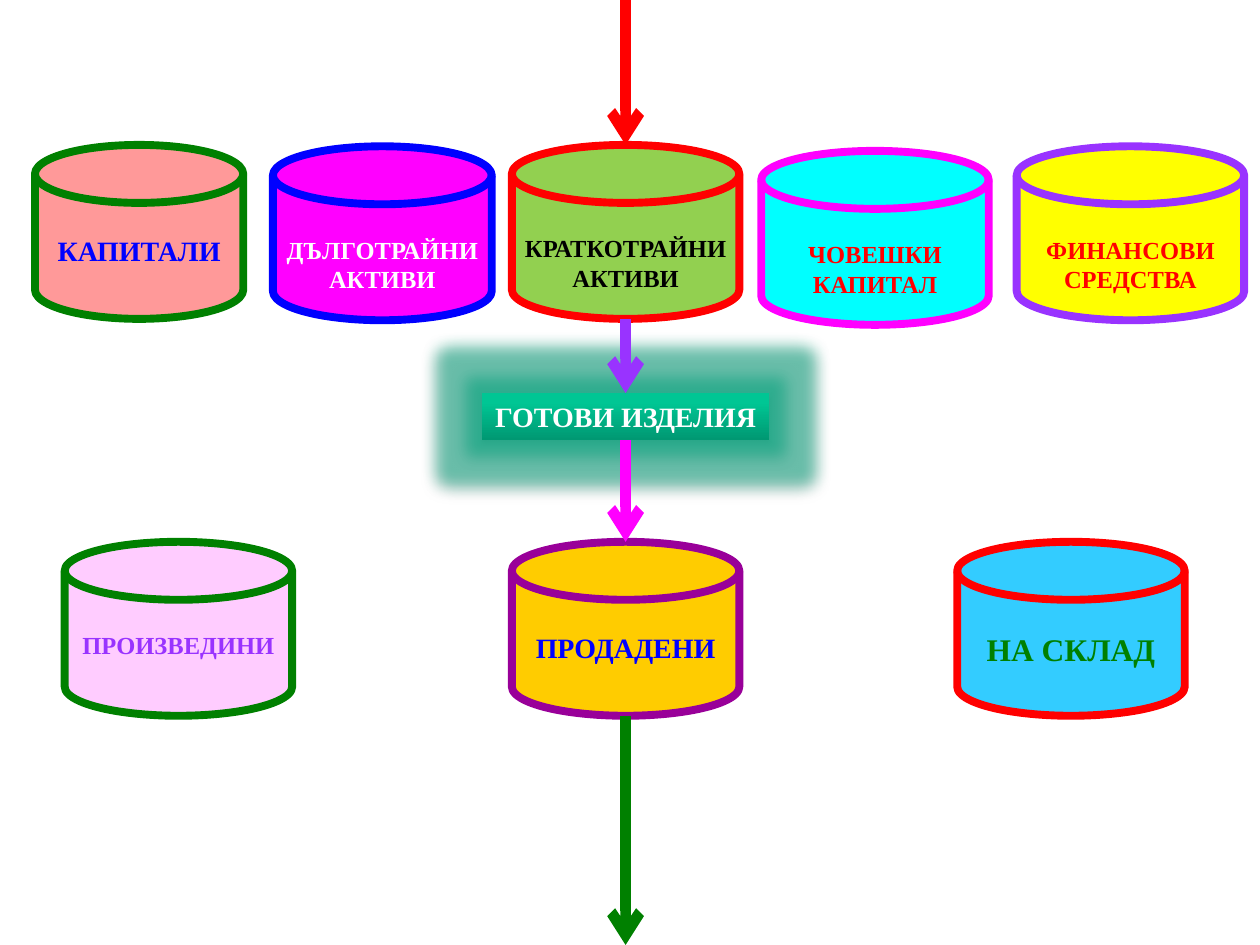
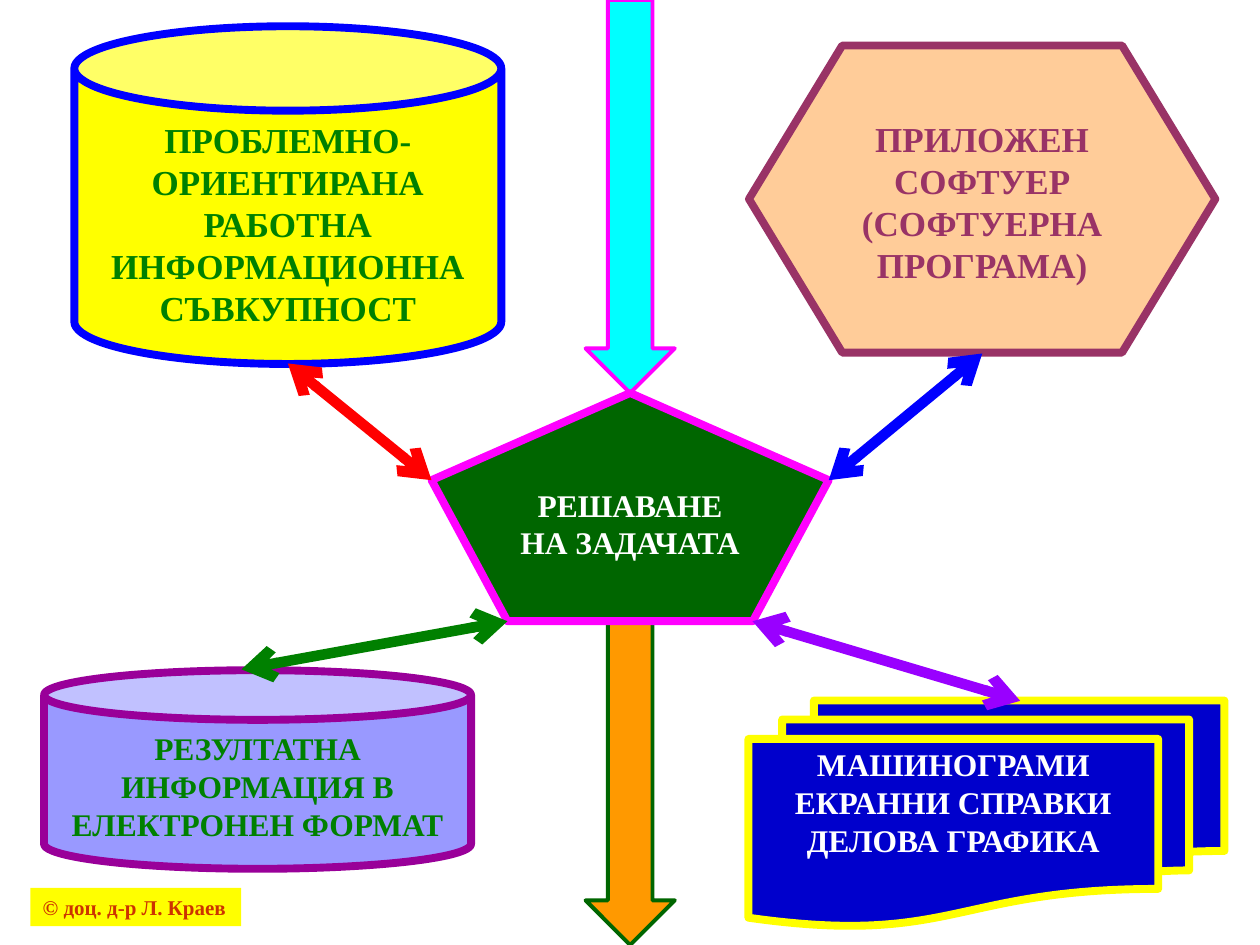
from pptx import Presentation
from pptx.dml.color import RGBColor
from pptx.enum.shapes import MSO_CONNECTOR, MSO_SHAPE
from pptx.enum.text import MSO_ANCHOR, PP_ALIGN
from pptx.oxml import parse_xml
from pptx.oxml.ns import nsdecls
from pptx.util import Pt

FONT = "Times New Roman"
COLOURS = {
    "red": "FF0000", "green": "008000", "blue": "0000FF", "magenta": "FF00FF",
    "cyan": "00FFFF", "yellow": "FFFF00", "white": "FFFFFF", "black": "000000",
    "violet": "9933FF", "purple": "990099", "salmon": "FF9999", "lime": "92D050",
    "pink": "FFCCFF", "gold": "FFCC00", "sky": "33CCFF", "peach": "FFCC99",
    "plum": "993366", "forest": "006600", "navy": "0000CC", "lavender": "9999FF",
    "orange": "FF9900", "bright violet": "9900FF", "brick": "CC3300",
    "teal dark": "009872", "teal light": "00C694", "teal glow": "00A880",
}
DISK_HEIGHT = 99.4
AXIS = 357.5
HEAVY_LINE = 4.5


def colour(name):
    return RGBColor.from_string(COLOURS[name])


def add_figure(slide, kind, box, fill, line=None, line_width=HEAVY_LINE):
    shape = slide.shapes.add_shape(kind, *(Pt(length) for length in box))
    shape.shadow.inherit = False
    shape.fill.solid()
    shape.fill.fore_color.rgb = colour(fill)
    if line:
        shape.line.color.rgb = colour(line)
        shape.line.width = Pt(line_width)
    else:
        shape.line.fill.background()
    return shape


def write(shape, text, size, font_colour, top=3.6, side=7.2,
          anchor=MSO_ANCHOR.TOP, align=PP_ALIGN.CENTER, wrap=True):
    frame = shape.text_frame
    frame.word_wrap = wrap
    frame.vertical_anchor = anchor
    frame.margin_left = frame.margin_right = Pt(side)
    frame.margin_top, frame.margin_bottom = Pt(top), Pt(3.6)
    frame.text = text
    for paragraph in frame.paragraphs:
        paragraph.alignment = align
        for run in paragraph.runs:
            run.font.name = FONT
            run.font.size = Pt(size)
            run.font.bold = True
            run.font.color.rgb = colour(font_colour)


def add_arrow(slide, start, end, line, both_ends=False):
    connector = slide.shapes.add_connector(
        MSO_CONNECTOR.STRAIGHT, *(Pt(length) for length in (*start, *end)))
    connector.line.color.rgb = colour(line)
    connector.line.width = Pt(6)
    outline = connector.line._get_or_add_ln()
    for tag in ("headEnd", "tailEnd") if both_ends else ("tailEnd",):
        outline.append(parse_xml(f'<a:{tag} {nsdecls("a")} type="arrow"/>'))
    connector._element.spPr.append(parse_xml(f'<a:effectLst {nsdecls("a")}/>'))


def add_disk_row(slide, top, disks):
    for left, drop, width, text, size, font_colour, fill, line in disks:
        box = (left, top + drop, width, DISK_HEIGHT)
        disk = add_figure(slide, MSO_SHAPE.FLOWCHART_MAGNETIC_DISK, box, fill, line)
        write(disk, text, size, font_colour, top=17.3, side=4)


def add_product_label(slide, box):
    label = add_figure(slide, MSO_SHAPE.RECTANGLE, box, "teal light")
    label.fill.gradient()
    label.fill.gradient_angle = 90
    for stop, name, position in zip(label.fill.gradient_stops,
                                    ("teal dark", "teal light"), (0, 0.8)):
        stop.color.rgb = colour(name)
        stop.position = position
    effects = label._element.spPr.find(
        "{http://schemas.openxmlformats.org/drawingml/2006/main}effectLst")
    effects.append(parse_xml(
        f'<a:glow {nsdecls("a")} rad="{Pt(18)}"><a:srgbClr val="{COLOURS["teal glow"]}">'
        '<a:alpha val="50000"/></a:srgbClr></a:glow>'))
    effects.append(parse_xml(
        f'<a:outerShdw {nsdecls("a")} blurRad="{Pt(3.1)}" dist="{Pt(1.8)}" dir="5400000">'
        f'<a:srgbClr val="{COLOURS["black"]}"><a:alpha val="35000"/></a:srgbClr></a:outerShdw>'))
    write(label, "ГОТОВИ ИЗДЕЛИЯ", 16, "white", side=4, anchor=MSO_ANCHOR.MIDDLE)


def build_production_slide(slide):
    resources_top, label_top, label_height, results_top = 82.8, 224.6, 26.8, 309.6
    add_arrow(slide, (AXIS, 0), (AXIS, resources_top), "red")
    add_disk_row(slide, resources_top, [
        (20, 0, 119, "КАПИТАЛИ", 16, "blue", "salmon", "green"),
        (156, 0.8, 125, "ДЪЛГОТРАЙНИ АКТИВИ", 14, "white", "magenta", "blue"),
        (292.5, 0, 130, "КРАТКОТРАЙНИ АКТИВИ", 14, "black", "lime", "red"),
        (435, 3.4, 130, "ЧОВЕШКИ КАПИТАЛ", 14, "red", "cyan", "magenta"),
        (581, 0.8, 130, "ФИНАНСОВИ СРЕДСТВА", 14, "red", "yellow", "violet"),
    ])
    add_product_label(slide, (AXIS - 82, label_top, 164, label_height))
    add_disk_row(slide, results_top, [
        (37, 0, 130, "ПРОИЗВЕДИНИ", 14, "violet", "pink", "green"),
        (292.5, 0, 130, "ПРОДАДЕНИ", 16, "blue", "gold", "purple"),
        (547, 0, 130, "НА СКЛАД", 18, "green", "sky", "red"),
    ])
    for start, end, line in (
        (resources_top + DISK_HEIGHT, label_top, "violet"),
        (label_top + label_height, results_top, "magenta"),
        (results_top + DISK_HEIGHT, 540, "green"),
    ):
        add_arrow(slide, (AXIS, start), (AXIS, end), line)


def add_inputs(slide, left, top):
    data = add_figure(slide, MSO_SHAPE.CAN, (left, top, 244, 193), "yellow", "blue")
    write(data, "ПРОБЛЕМНО-\vОРИЕНТИРАНА\nРАБОТНА ИНФОРМАЦИОННА СЪВКУПНОСТ",
          20, "green", top=4.5)
    software = add_figure(slide, MSO_SHAPE.FLOWCHART_PREPARATION,
                          (left + 385.5, top + 11, 266.5, 175.5), "peach", "plum")
    write(software, "ПРИЛОЖЕН\nСОФТУЕР\n(СОФТУЕРНА\nПРОГРАМА)", 20, "plum",
          top=6, side=0, anchor=MSO_ANCHOR.MIDDLE)


def add_solution(slide, left, top, width, height):
    for arrow_top, bottom, fill, line in ((0, top, "cyan", "magenta"),
                                          (top + height, 540, "orange", "forest")):
        box = (left + width / 2 - 25.5, arrow_top, 51, bottom - arrow_top)
        add_figure(slide, MSO_SHAPE.DOWN_ARROW, box, fill, line, 2.25)
    pentagon = add_figure(slide, MSO_SHAPE.REGULAR_PENTAGON,
                          (left, top, width, height), "forest", "magenta")
    write(pentagon, "РЕШАВАНЕ\vНА ЗАДАЧАТА", 18, "white", top=22.2, side=0)


def add_outputs(slide, left, top):
    results = add_figure(slide, MSO_SHAPE.CAN, (left, top, 244, 113.5), "lavender", "purple")
    write(results, "РЕЗУЛТАТНА ИНФОРМАЦИЯ В ЕЛЕКТРОНЕН ФОРМАТ", 18, "green", top=5.5)
    reports = add_figure(slide, MSO_SHAPE.FLOWCHART_MULTIDOCUMENT,
                         (left + 402.5, top + 17.3, 272, 129), "navy", "yellow")
    write(reports, "МАШИНОГРАМИ\nЕКРАННИ СПРАВКИ\nДЕЛОВА ГРАФИКА", 18, "white")


def add_copyright(slide, box):
    label = add_figure(slide, MSO_SHAPE.RECTANGLE, box, "yellow")
    write(label, "© доц. д-р Л. Краев", 12, "brick", align=PP_ALIGN.LEFT, wrap=False)


def build_solution_slide(slide):
    add_inputs(slide, 42.5, 15)
    add_solution(slide, 246.6, 224.6, 227, 130.4)
    add_outputs(slide, 25.2, 383)
    add_copyright(slide, (17.3, 507.4, 120.5, 21.8))
    for start, end, line in (
        ((164.5, 207.7), (246.6, 274.4), "red"),
        ((561.3, 202), (473.6, 274.4), "blue"),
        ((583, 400.5), (430, 355), "bright violet"),
        ((290, 355), (138, 382.5), "green"),
    ):
        add_arrow(slide, start, end, line, both_ends=True)


def main():
    presentation = Presentation()
    presentation.slide_width, presentation.slide_height = Pt(720), Pt(540)
    blank = presentation.slide_layouts[6]
    for build in (build_production_slide, build_solution_slide):
        build(presentation.slides.add_slide(blank))
    presentation.save("out.pptx")


if __name__ == "__main__":
    main()
